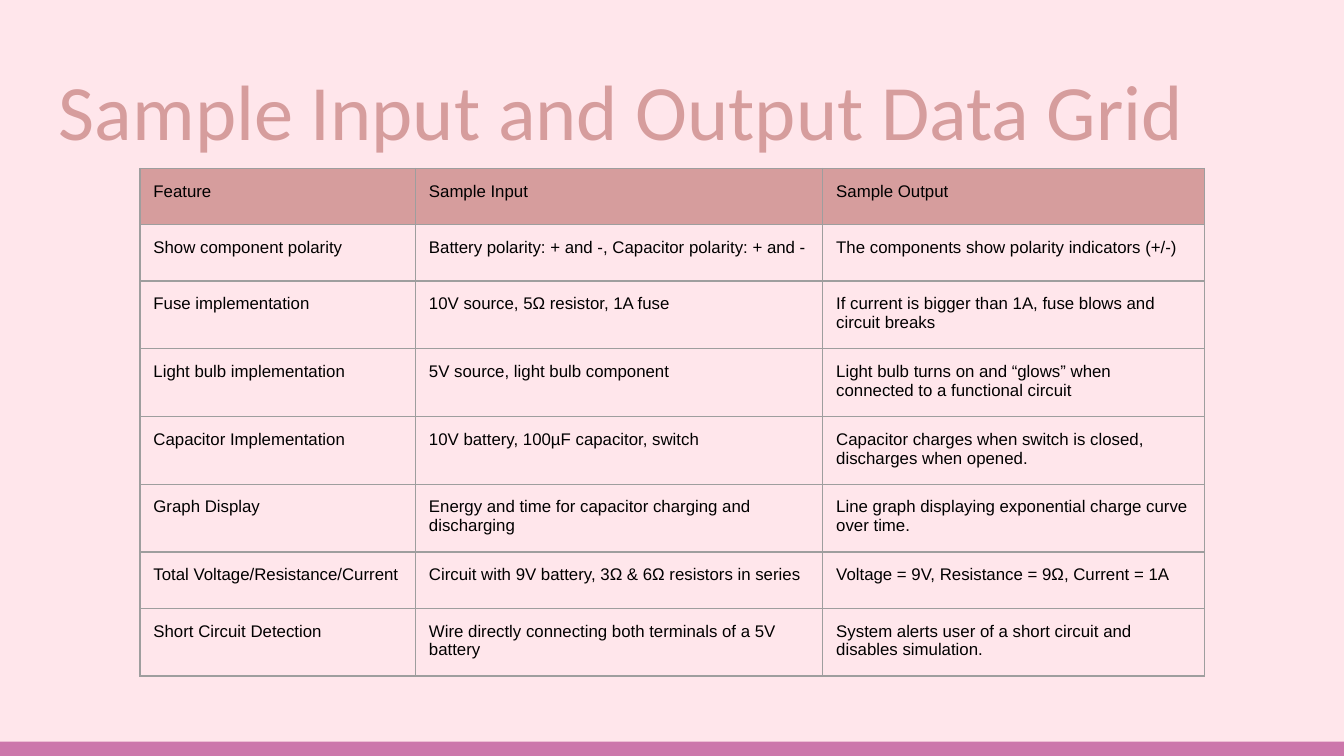
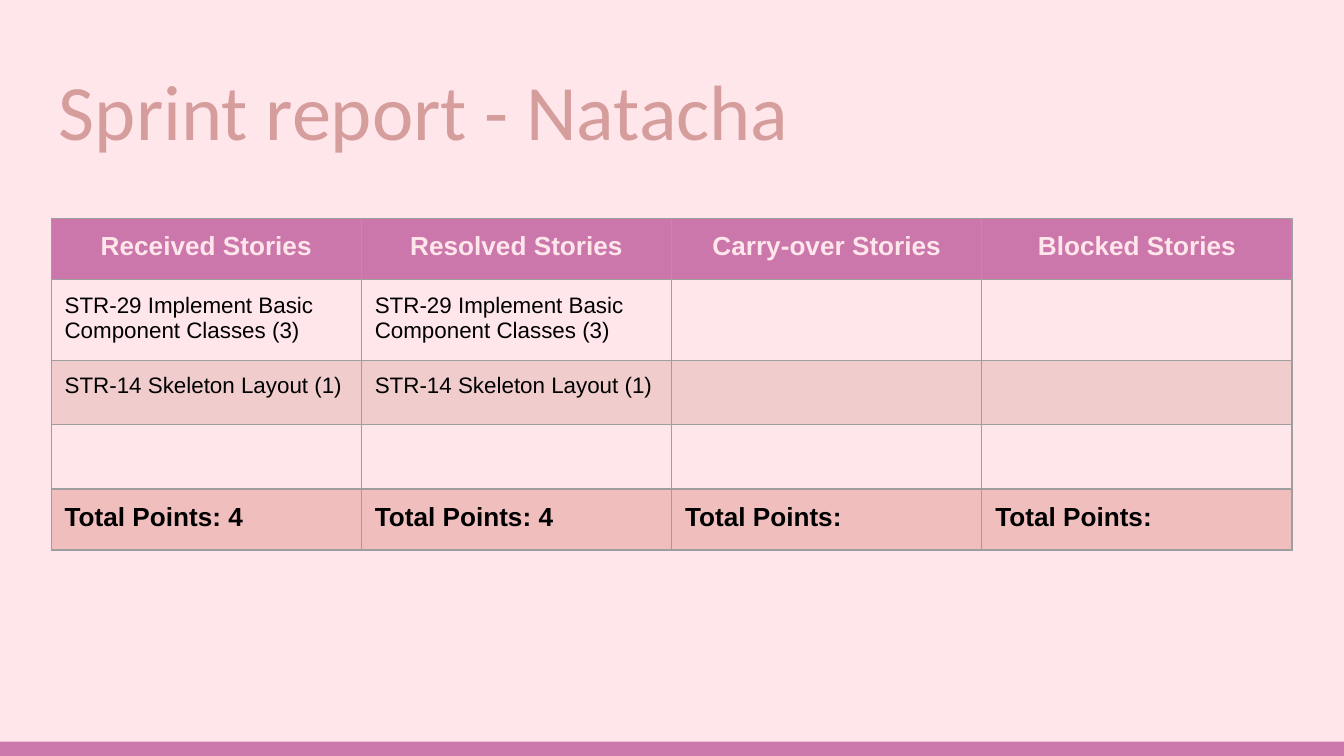
from dataclasses import dataclass

import pptx
import pptx.dml.color
import pptx.enum.shapes
import pptx.enum.text
import pptx.oxml
import pptx.oxml.ns
import pptx.util

Pt = pptx.util.Pt
ALIGN = pptx.enum.text.PP_ALIGN
ANCHOR = pptx.enum.text.MSO_ANCHOR


@dataclass(frozen=True)
class Theme:
    background: str = "FFE6EB"
    band: str = "CC77AB"
    rose: str = "D69D9D"
    stripe: str = "F1CCCC"
    total: str = "F1BEBE"
    grid: str = "9E9E9E"
    ink: str = "000000"
    title_font: str = "Calibri"
    body_font: str = "Arial"
    title_size: float = 42
    heading_size: float = 14
    story_size: float = 12
    small_size: float = 9
    inset: float = 7.2
    grid_width: float = 0.75


THEME = Theme()
WIDTH, HEIGHT = 720, 405


def rgb(color):
    return pptx.dml.color.RGBColor.from_string(color)


def put_text(tf, text, size=THEME.small_size, color=THEME.ink,
             font=THEME.body_font, bold=False, align=ALIGN.LEFT):
    p = tf.paragraphs[0]
    p.alignment = align
    r = p.add_run()
    r.text = text
    r.font.name = font
    r.font.size = Pt(size)
    r.font.bold = bold
    r.font.color.rgb = rgb(color)


def set_insets(box):
    """Give a text frame or a table cell the shared inner margins."""
    box.margin_left = box.margin_right = Pt(THEME.inset)
    box.margin_top = box.margin_bottom = Pt(THEME.inset)


def add_titled_slide(prs, title):
    s = prs.slides.add_slide(prs.slide_layouts[6])
    s.background.fill.solid()
    s.background.fill.fore_color.rgb = rgb(THEME.background)

    band = s.shapes.add_shape(pptx.enum.shapes.MSO_SHAPE.RECTANGLE,
                              0, Pt(397.3), Pt(WIDTH), Pt(7.7))
    band.shadow.inherit = False
    band.fill.solid()
    band.fill.fore_color.rgb = rgb(THEME.band)
    band.line.fill.background()

    sp = s.shapes.add_textbox(Pt(24.5), Pt(25.2), Pt(671), Pt(65.5))
    tf = sp.text_frame
    tf.word_wrap = True
    tf.vertical_anchor = ANCHOR.BOTTOM
    set_insets(tf)
    put_text(tf, title, size=THEME.title_size, color=THEME.rose,
             font=THEME.title_font)
    return s


def draw_borders(cell):
    tc_pr = cell._tc.get_or_add_tcPr()
    for side in ("lnL", "lnR", "lnT", "lnB"):
        tc_pr.append(pptx.oxml.parse_xml(
            f'<a:{side} {pptx.oxml.ns.nsdecls("a")} w="{Pt(THEME.grid_width)}">'
            f'<a:solidFill><a:srgbClr val="{THEME.grid}"/></a:solidFill>'
            f'</a:{side}>'))


def add_grid(s, left, top, widths, heights, rows, styles, fills):
    """Add a ruled table; styles and fills hold one entry for each row."""
    frame = s.shapes.add_table(len(rows), len(widths), Pt(left), Pt(top),
                               Pt(sum(widths)), Pt(sum(heights)))
    table = frame.table
    table.first_row = table.horz_banding = False
    for column, width in zip(table.columns, widths):
        column.width = Pt(width)
    for i, (row, height) in enumerate(zip(table.rows, heights)):
        row.height = Pt(height)
        for cell, text in zip(row.cells, rows[i]):
            draw_borders(cell)
            if fills[i]:
                cell.fill.solid()
                cell.fill.fore_color.rgb = rgb(fills[i])
            else:
                cell.fill.background()
            if text:
                set_insets(cell)
                put_text(cell.text_frame, text, **styles[i])


def build_data_grid(prs):
    s = add_titled_slide(prs, "Sample Input and Output Data Grid")
    rows = [
        ("Feature", "Sample Input", "Sample Output"),
        ("Show component polarity",
         "Battery polarity: + and -, Capacitor polarity: + and -",
         "The components show polarity indicators (+/-)"),
        ("Fuse implementation", "10V source, 5Ω resistor, 1A fuse",
         "If current is bigger than 1A, fuse blows and circuit breaks"),
        ("Light bulb implementation", "5V source, light bulb component",
         "Light bulb turns on and “glows” when connected to a functional circuit"),
        ("Capacitor Implementation", "10V battery, 100µF capacitor, switch",
         "Capacitor charges when switch is closed, discharges when opened."),
        ("Graph Display",
         "Energy and time for capacitor charging and discharging",
         "Line graph displaying exponential charge curve over time."),
        ("Total Voltage/Resistance/Current",
         "Circuit with 9V battery, 3Ω & 6Ω resistors in series",
         "Voltage = 9V, Resistance = 9Ω, Current = 1A"),
        ("Short Circuit Detection",
         "Wire directly connecting both terminals of a 5V battery",
         "System alerts user of a short circuit and disables simulation."),
    ]
    one_line, two_lines = 30.2, 36.3
    heights = [one_line] * 2 + [two_lines] * 4 + [one_line, two_lines]
    add_grid(s, 75, 90.2, (147.6, 218.2, 204.5), heights, rows,
             styles=[{}] * len(rows),
             fills=[THEME.rose] + [None] * (len(rows) - 1))


def build_sprint_report(prs):
    s = add_titled_slide(prs, "Sprint report - Natacha")
    stories = ("STR-29 Implement Basic Component Classes (3)",
               "STR-14 Skeleton Layout (1)")
    rows = [
        [f"{kind} Stories"
         for kind in ("Received", "Resolved", "Carry-over", "Blocked")],
        *([story, story, "", ""] for story in stories),
        [""] * 4,
        ["Total Points: 4"] * 2 + ["Total Points:"] * 2,
    ]
    heading = dict(size=THEME.heading_size, color=THEME.background,
                   bold=True, align=ALIGN.CENTER)
    story = dict(size=THEME.story_size)
    total = dict(size=THEME.heading_size, bold=True)
    add_grid(s, 27.4, 117.1, [166.2] * 4, (32.6, 41.4, 34.4, 34.7, 32.6), rows,
             styles=[heading, story, story, story, total],
             fills=[THEME.band, None, THEME.stripe, None, THEME.total])


def main():
    prs = pptx.Presentation()
    prs.slide_width, prs.slide_height = Pt(WIDTH), Pt(HEIGHT)
    build_data_grid(prs)
    build_sprint_report(prs)
    prs.save("out.pptx")


if __name__ == "__main__":
    main()
